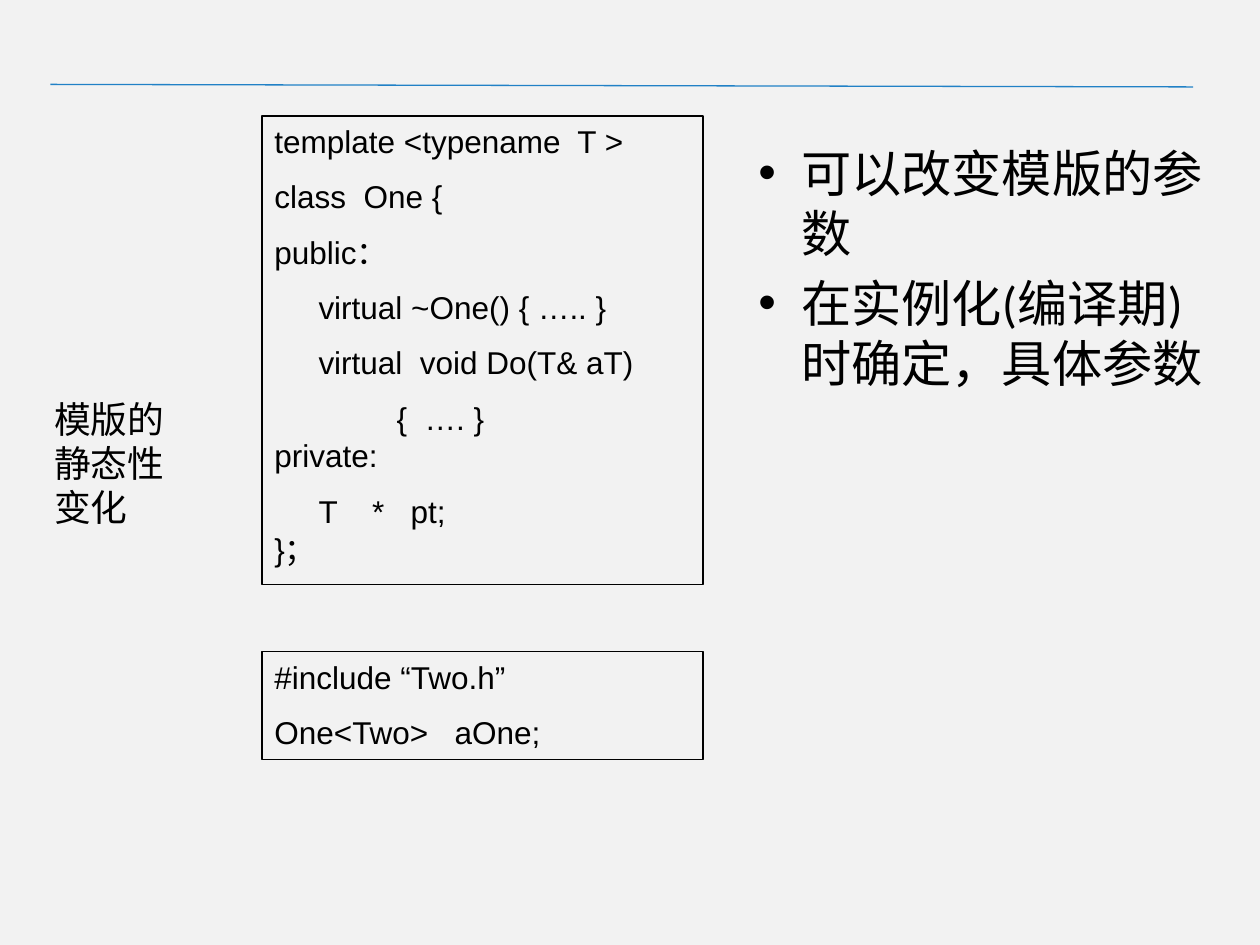
"""Build a slide on how template parameters vary at compile time."""
import pptx
import pptx.util
import pptx.dml.color
import pptx.enum.shapes
import pptx.enum.text
import pptx.oxml
import pptx.oxml.ns
from pptx.util import Inches

COLORS = {"background": "F2F2F2", "rule": "2181C6", "ink": "000000"}
TITLE = "模版的静态性变化"
POINTS = ["可以改变模版的参数", "在实例化(编译期)时确定，具体参数"]
TEMPLATE_CODE = [
    ("template <typename  T >", 0),
    ("class  One {", 0),
    ("public：", 0),
    ("virtual ~One() { ….. }", 0.35),
    ("virtual  void Do(T& aT)", 0.35),
    ("{  …. }\vprivate:", 0.97),
    ("T    *   pt;\v}；", 0.35),
]
USAGE_CODE = [("#include “Two.h”", 0), ("One<Two>   aOne;", 0)]


def rgb(name):
    """Return the named colour."""
    return pptx.dml.color.RGBColor.from_string(COLORS[name])


def format_runs(p, size, font):
    """Set size, font and colour on every run of a paragraph."""
    for r in p.runs:
        r.font.size = pptx.util.Pt(size)
        r.font.name = font
        r.font.color.rgb = rgb("ink")


def add_paragraphs(tf, texts, size, font, gap):
    """Write left-aligned paragraphs with a gap in points between them."""
    for i, text in enumerate(texts):
        p = tf.add_paragraph() if i else tf.paragraphs[0]
        p.text = text
        p.alignment = pptx.enum.text.PP_ALIGN.LEFT
        p.space_before = pptx.util.Pt(gap if i else 0)
        format_runs(p, size, font)


def add_rule(s):
    """Draw the thin line across the top."""
    line = s.shapes.add_connector(
        pptx.enum.shapes.MSO_CONNECTOR.STRAIGHT,
        Inches(0.4), Inches(0.67), Inches(9.47), Inches(0.69))
    line.line.color.rgb = rgb("rule")
    line.line.width = pptx.util.Pt(0.75)
    line._element.spPr.append(pptx.oxml.parse_xml(
        f"<a:effectLst {pptx.oxml.ns.nsdecls('a')}/>"))


def set_title(s):
    """Place the title as a narrow column on the left."""
    sp = s.shapes.title
    sp.left, sp.top = Inches(0.33), Inches(0.67)
    sp.width, sp.height = Inches(1.25), Inches(6)
    tf = sp.text_frame
    tf.auto_size = pptx.enum.text.MSO_AUTO_SIZE.NONE
    tf.vertical_anchor = pptx.enum.text.MSO_ANCHOR.MIDDLE
    add_paragraphs(tf, [TITLE], 21, "Calibri", 0)


def add_bullets(s):
    """Add the bulleted points on the right."""
    sp = s.shapes.add_textbox(
        Inches(5.92), Inches(1.08), Inches(3.75), Inches(4.59))
    tf = sp.text_frame
    tf.word_wrap = True
    add_paragraphs(tf, POINTS, 28.7, "Calibri", 5.5)
    for p in tf.paragraphs:
        pPr = p._p.get_or_add_pPr()
        pPr.set("marL", str(Inches(0.34)))
        pPr.set("indent", str(-Inches(0.34)))
        for tag, key, value in (("buFont", "typeface", "Arial"),
                                ("buChar", "char", "•")):
            pPr.append(pptx.oxml.parse_xml(
                f'<a:{tag} {pptx.oxml.ns.nsdecls("a")} {key}="{value}"/>'))


def add_code_box(s, top, height, code):
    """Add an outlined box of code lines given as text and first-line indent."""
    sp = s.shapes.add_shape(
        pptx.enum.shapes.MSO_SHAPE.RECTANGLE,
        Inches(2.08), Inches(top), Inches(3.5), Inches(height))
    sp.shadow.inherit = False
    sp.fill.background()
    sp.line.color.rgb = rgb("ink")
    sp.line.width = pptx.util.Pt(0.75)
    tf = sp.text_frame
    tf.word_wrap = True
    tf.vertical_anchor = pptx.enum.text.MSO_ANCHOR.TOP
    add_paragraphs(tf, [text for text, _ in code], 18, "Arial", 10)
    for p, (_, indent) in zip(tf.paragraphs, code):
        p._p.get_or_add_pPr().set("indent", str(Inches(indent)))


def main():
    """Build and save the slide."""
    prs = pptx.Presentation()
    prs.slide_width, prs.slide_height = Inches(10), Inches(7.5)
    s = prs.slides.add_slide(prs.slide_layouts[5])
    s.background.fill.solid()
    s.background.fill.fore_color.rgb = rgb("background")
    add_rule(s)
    set_title(s)
    add_bullets(s)
    add_code_box(s, 0.92, 3.72, TEMPLATE_CODE)
    add_code_box(s, 5.17, 0.86, USAGE_CODE)
    prs.save("out.pptx")


if __name__ == "__main__":
    main()
